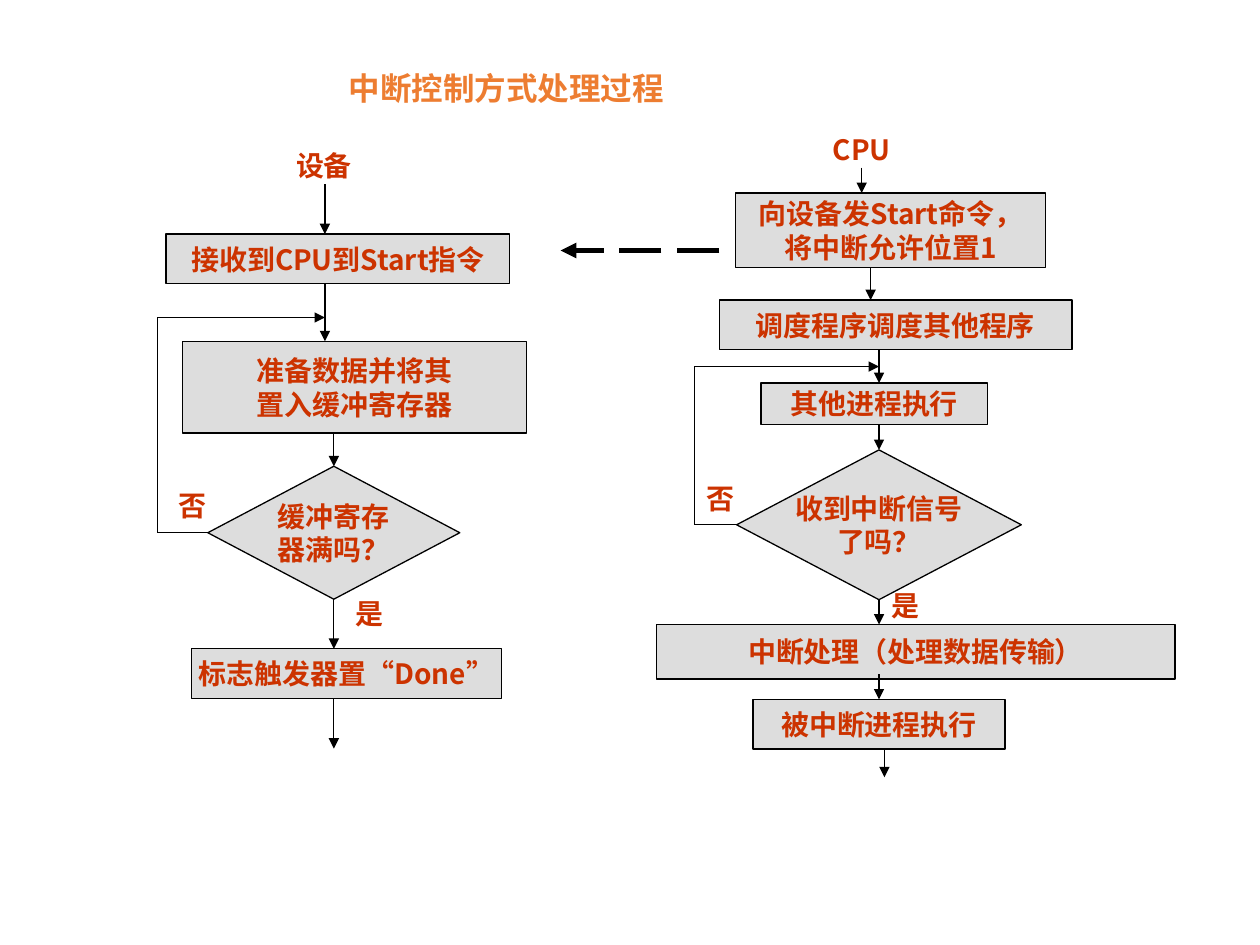
from lxml import etree
from pptx import Presentation
from pptx.dml.color import RGBColor
from pptx.enum.dml import MSO_LINE
from pptx.enum.shapes import MSO_CONNECTOR, MSO_SHAPE
from pptx.enum.text import MSO_ANCHOR, MSO_AUTO_SIZE, PP_ALIGN
from pptx.oxml.ns import qn
from pptx.util import Cm, Pt

RECT, DIAMOND = MSO_SHAPE.RECTANGLE, MSO_SHAPE.FLOWCHART_DECISION
LINE, DASH = MSO_CONNECTOR.STRAIGHT, MSO_LINE.LONG_DASH
TOP, MIDDLE = MSO_ANCHOR.TOP, MSO_ANCHOR.MIDDLE
LEFT, CENTER = PP_ALIGN.LEFT, PP_ALIGN.CENTER
FIXED = MSO_AUTO_SIZE.NONE

ORANGE = RGBColor(0xED, 0x7D, 0x31)
RED = RGBColor(0xCC, 0x33, 0x00)
GRAY = RGBColor(0xDD, 0xDD, 0xDD)
BLACK = RGBColor(0, 0, 0)

SANS, SERIF = "Noto Sans CJK SC", "Times New Roman"
QUOTES = "“”"


class Chart:
    """Style and current slide of the flow chart."""

    body = {"size": Pt(16), "bold": True, "name": SANS}
    head = {"size": Pt(18), "bold": True, "name": SANS}

    def __init__(self, slide):
        self.slide = slide
        self.shapes = slide.shapes

    def fill_text(self, shape, lines, font, color, **frame):
        """Each line is a string or a list of runs."""
        text = shape.text_frame
        for key, value in frame.items():
            setattr(text, key, value)
        align = CENTER if frame["vertical_anchor"] == MIDDLE else LEFT
        for i, line in enumerate(lines):
            para = text.add_paragraph() if i else text.paragraphs[0]
            para.alignment = align
            for part in [line] if isinstance(line, str) else line:
                run = para.add_run()
                run.text = part
                for key, value in font.items():
                    setattr(run.font, key, value)
                if part in QUOTES:
                    run.font.name = SERIF
                run.font.color.rgb = color
                props = run._r.get_or_add_rPr()
                etree.SubElement(props, qn("a:ea")).set("typeface", SANS)

    def title(self, text, *place):
        shape = self.shapes.title
        shape.left, shape.top, shape.width, shape.height = map(Cm, place)
        self.fill_text(shape, [text], self.head, ORANGE, word_wrap=True,
                       auto_size=FIXED, vertical_anchor=TOP)

    def label(self, text, x, y, width=1.02):
        shape = self.shapes.add_textbox(Cm(x), Cm(y), Cm(width), Cm(0.94))
        self.fill_text(shape, [text], self.body, RED, word_wrap=True,
                       vertical_anchor=TOP)

    def node(self, kind, lines, *place):
        shape = self.shapes.add_shape(kind, *map(Cm, place))
        shape.shadow.inherit = False
        shape.fill.solid()
        shape.fill.fore_color.rgb = GRAY
        shape.line.color.rgb = BLACK
        shape.line.width = Pt(0.75)
        self.fill_text(shape, lines, self.body, RED, word_wrap=False,
                       vertical_anchor=MIDDLE)
        return shape

    def link(self, start, stop, arrow=True, begin=None, end=None,
             width=0.75, dash=None):
        """begin and end are pairs of a node and the side to join."""
        wire = self.shapes.add_connector(LINE, *map(Cm, start + stop))
        if begin:
            wire.begin_connect(*begin)
        if end:
            wire.end_connect(*end)
        wire.line.color.rgb = BLACK
        wire.line.width = Pt(width)
        if dash:
            wire.line.dash_style = dash
        if arrow:
            edge = wire.line.get_or_add_ln() if hasattr(
                wire.line, "get_or_add_ln") else wire.get_or_add_ln()
            etree.SubElement(edge, qn("a:tailEnd")).set("type", "triangle")
        etree.SubElement(wire._element.spPr, qn("a:effectLst"))

    def down(self, x, top, base, **ends):
        self.link((x, top), (x, base), **ends)

    def loop(self, node, x, y, side, back, stop):
        """Return route from a node's left side up to the main flow."""
        self.link((x, y), (side, y), arrow=False, begin=(node, 1))
        self.link((side, y), (side, back), arrow=False)
        self.link((side, back), (stop, back))


def main():
    deck = Presentation()
    deck.slide_width, deck.slide_height = Cm(25.4), Cm(19.05)
    chart = Chart(deck.slides.add_slide(deck.slide_layouts[5]))
    chart.title("中断控制方式处理过程", 6.78, 1.27, 12.7, 1.27)

    # Device side: nodes
    chart.node(RECT, ["接收到CPU到Start指令"], 3.35, 4.72, 6.93, 1)
    chart.node(RECT, ["准备数据并将其", "置入缓冲寄存器"],
               3.68, 6.88, 6.93, 1.85)
    full = chart.node(DIAMOND, ["缓冲寄存", "器满吗？"],
                      4.19, 9.4, 5.08, 2.68)
    chart.node(RECT, [["标志触发器置", "“", "Done", "”"]],
               3.86, 13.08, 6.25, 1)

    # Device side: flow
    chart.down(6.55, 3.71, 4.72)
    chart.down(6.55, 5.72, 6.88)
    chart.down(6.73, 8.73, 9.4, end=(full, 0))
    chart.down(6.73, 12.08, 13.08, begin=(full, 2))
    chart.down(6.73, 14.08, 15.09)
    chart.loop(full, 4.19, 10.74, 3.18, 6.4, 6.55)

    # CPU side: nodes
    chart.node(RECT, ["向设备发Start命令，", "将中断允许位置1"],
               14.83, 3.89, 6.25, 1.5)
    chart.node(RECT, ["调度程序调度其他程序"], 14.5, 6.05, 7.11, 1)
    chart.node(RECT, ["其他进程执行"], 15.34, 7.72, 4.57, 0.84)
    signal = chart.node(DIAMOND, ["收到中断信号", "了吗？"],
                        14.85, 9.07, 5.74, 3.02)
    chart.node(RECT, ["中断处理（处理数据传输）"], 13.23, 12.59, 10.46, 1.1)
    resume = chart.node(RECT, ["被中断进程执行"], 15.18, 14.1, 5.08, 1)

    # CPU side: flow
    chart.down(17.37, 3.38, 3.89)
    chart.down(17.55, 5.39, 6.05)
    chart.down(17.72, 7.05, 7.72)
    chart.down(17.72, 8.56, 9.07, end=(signal, 0))
    chart.down(17.72, 12.09, 12.59, begin=(signal, 2))
    chart.down(17.72, 13.59, 14.1, end=(resume, 0))
    chart.down(17.83, 15.11, 15.67)
    chart.loop(signal, 14.85, 10.58, 14, 7.39, 17.72)

    # Start command from CPU to device
    chart.link((14.5, 5.05), (11.3, 5.05), width=3, dash=DASH)

    # Labels
    chart.label("设备", 5.72, 2.87, 2.03)
    chart.label("CPU", 16.54, 2.54, 1.85)
    chart.label("否", 3.35, 9.73)
    chart.label("是", 6.91, 11.91)
    chart.label("否", 14, 9.58)
    chart.label("是", 17.73, 11.73)

    deck.save("out.pptx")


if __name__ == "__main__":
    main()
